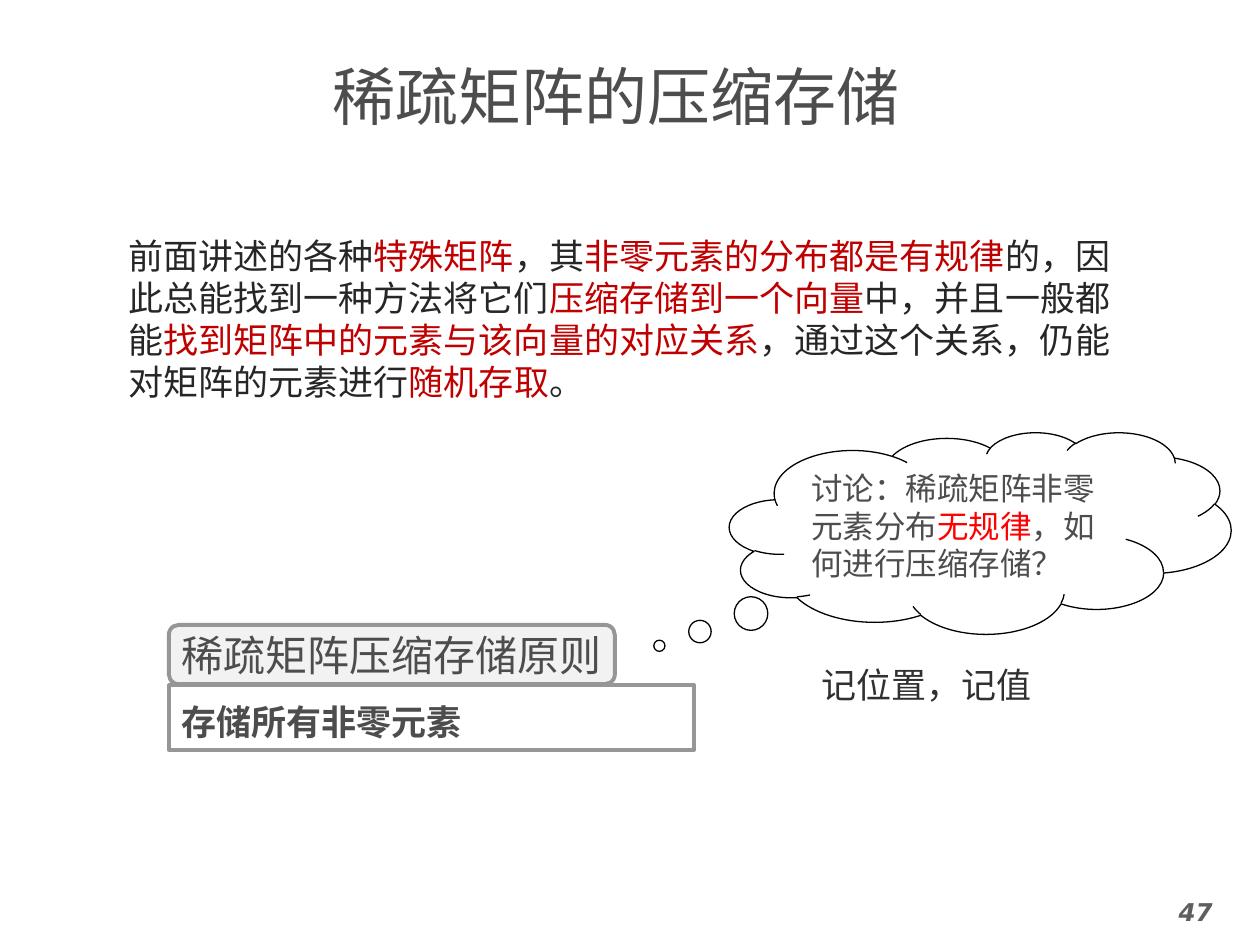
from pptx import Presentation
from pptx.dml.color import RGBColor
from pptx.enum.shapes import MSO_SHAPE
from pptx.enum.text import MSO_ANCHOR, PP_ALIGN
from pptx.util import Inches, Pt

RECT = MSO_SHAPE.RECTANGLE
ROUNDED = MSO_SHAPE.ROUNDED_RECTANGLE
CLOUD = MSO_SHAPE.CLOUD_CALLOUT
TOP, MIDDLE = MSO_ANCHOR.TOP, MSO_ANCHOR.MIDDLE
LEFT, CENTER = PP_ALIGN.LEFT, PP_ALIGN.CENTER

COLORS = {
    "text": "4D4D4D",
    "body": "262626",
    "key": "C00000",
    "alert": "FF0000",
    "answer": "303030",
    "number": "5F5F5F",
    "frame": "969696",
    "white": "FFFFFF",
    "tab": "F2F2F2",
    "outline": "000000",
}


def color(name):
    return RGBColor.from_string(COLORS[name])


def write(sp, runs, size, font, align=LEFT, anchor=TOP, wrap=True,
          bold=False, italic=False):
    """Fill a shape with one paragraph of (text, colour name) runs."""
    tf = sp.text_frame
    tf.word_wrap = wrap
    tf.vertical_anchor = anchor
    p = tf.paragraphs[0]
    p.alignment = align
    for text, name in runs:
        r = p.add_run()
        r.text = text
        r.font.size = Pt(size)
        r.font.name = font
        r.font.bold = bold
        r.font.italic = italic
        r.font.color.rgb = color(name)
    return p


def add_title(s, box, text):
    sp = s.shapes.title
    sp.left, sp.top, sp.width, sp.height = map(Inches, box)
    write(sp, [(text, "text")], 36, "DejaVu Sans Mono", CENTER, MIDDLE)


def add_text(s, box, runs, size, font, **style):
    sp = s.shapes.add_textbox(*map(Inches, box))
    write(sp, runs, size, font, **style)


def add_box(s, kind, box, line, width, fill=None):
    sp = s.shapes.add_shape(kind, *map(Inches, box))
    sp.shadow.inherit = False
    if fill:
        sp.fill.solid()
        sp.fill.fore_color.rgb = color(fill)
    else:
        sp.fill.background()
    sp.line.color.rgb = color(line)
    sp.line.width = Pt(width)
    return sp


def main():
    prs = Presentation()
    prs.slide_width, prs.slide_height = Inches(10), Inches(7.5)
    s = prs.slides.add_slide(prs.slide_layouts[5])

    # Title and slide number
    add_title(s, (1.3, 0.4, 7.17, 0.71), "稀疏矩阵的压缩存储")
    add_text(s, (8.98, 7.07, 1.02, 0.43), [("47", "number")], 14,
             "DejaVu Sans", align=CENTER, bold=True, italic=True)

    # Storage principle: framed statement under a rounded tab
    sp = add_box(s, RECT, (1.34, 5.44, 4.17, 0.51), "frame", 2.25, "white")
    p = write(sp, [("存储所有非零元素", "text")], 20, "Arial", bold=True)
    p.line_spacing = 1.2
    sp = add_box(s, ROUNDED, (1.34, 4.96, 3.54, 0.47), "frame", 2.25, "tab")
    write(sp, [("稀疏矩阵压缩存储原则", "text")], 24, "Arial",
          CENTER, MIDDLE, wrap=False)

    # Introduction with highlighted key phrases
    add_text(s, (0.92, 1.81, 8.05, 1.45), [
        ("前面讲述的各种", "body"),
        ("特殊矩阵", "key"),
        ("，其", "body"),
        ("非零元素的分布都是有规律", "key"),
        ("的，因此总能找到一种方法将它们", "body"),
        ("压缩存储到一个向量", "key"),
        ("中，并且一般都能", "body"),
        ("找到矩阵中的元素与该向量的对应关系", "key"),
        ("，通过这个关系，仍能对矩阵的元素进行", "body"),
        ("随机存取", "key"),
        ("。", "body"),
    ], 20, "Arial")

    # Discussion cloud and its answer
    sp = add_box(s, CLOUD, (5.79, 3.43, 3.98, 1.6), "outline", 0.75)
    sp.adjustments[0], sp.adjustments[1] = -0.64, 0.56
    write(sp, [
        ("讨论：稀疏矩阵非零元素分布", "text"),
        ("无规律", "alert"),
        ("，如何进行压缩存储？", "text"),
    ], 18, "DejaVu Sans Mono")
    add_text(s, (6.42, 5.22, 1.88, 0.44), [("记位置，记值", "answer")], 20,
             "Noto Sans CJK SC", wrap=False)

    prs.save("out.pptx")


if __name__ == "__main__":
    main()
